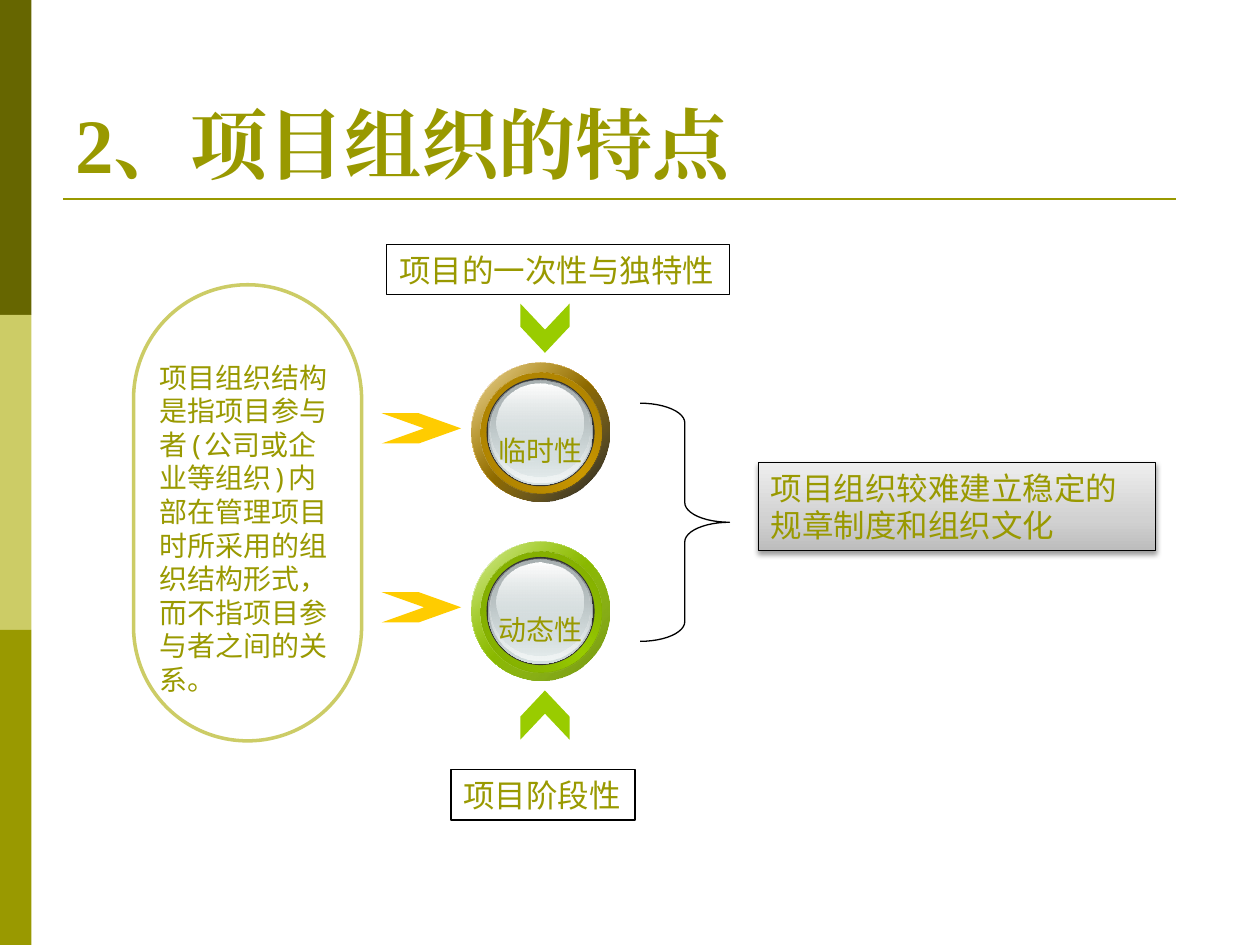
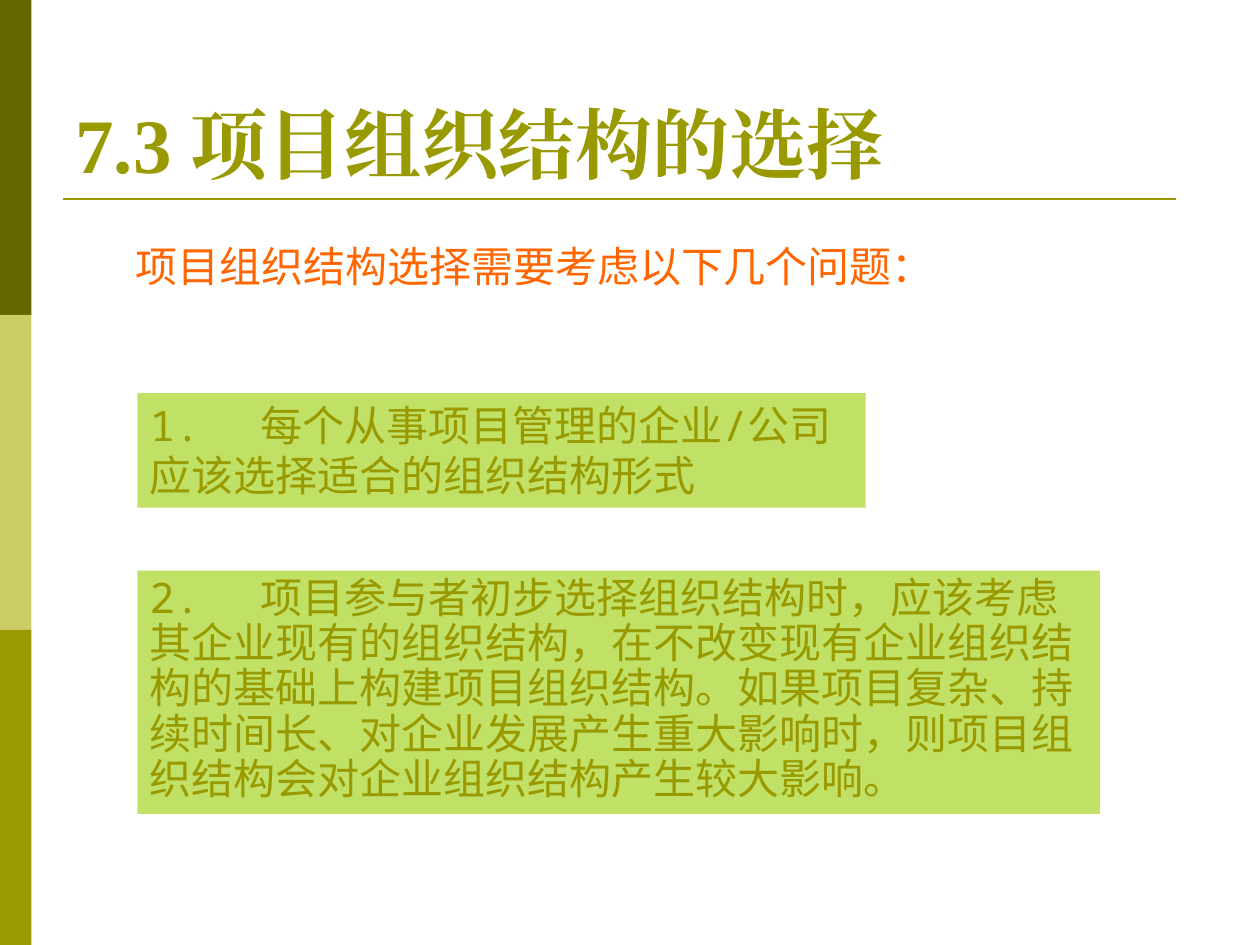
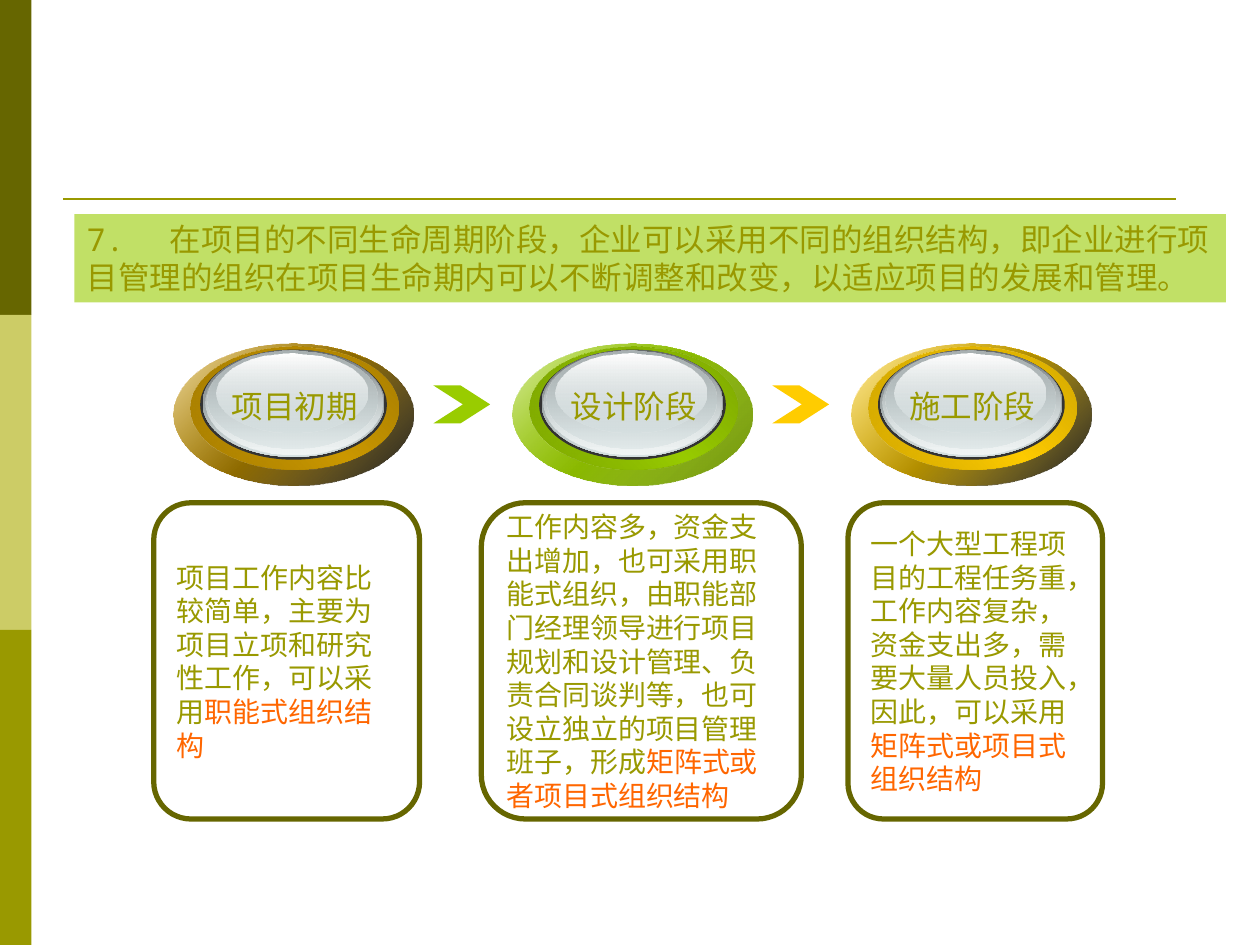
from dataclasses import dataclass
from pptx import Presentation
from pptx.dml.color import RGBColor as RGB
from pptx.enum.shapes import MSO_CONNECTOR as LINK, MSO_SHAPE as SHAPE
from pptx.enum.text import MSO_ANCHOR as ANCHOR
from pptx.oxml.ns import qn
from pptx.oxml.xmlchemy import OxmlElement as Node
from pptx.util import Inches, Pt


@dataclass(frozen=True)
class Theme:
    olive: str = "999900"
    dark: str = "666600"
    pale: str = "CCCC66"
    green: str = "99CC00"
    gold: str = "FFCC00"
    orange: str = "FF6600"
    white: str = "FFFFFF"
    black: str = "000000"
    head: str = "Times New Roman"
    mono: str = "Noto Sans Mono"
    sans: str = "DejaVu Sans"
    title: int = 44
    large: int = 24
    mid: int = 18
    small: int = 16


T = Theme()
TINT = (T.green, 60)
VEIL = (T.white, 72)

# Button shades: main, rim, ring, edge
AMBER = ("CC9900", "9C7500", "A77E00", (T.black, 90))
GREEN = (T.green, "759C00", "7EA700", "6D9200")
GOLD = (T.gold, "C39C00", "D1A700", (T.black, 90))

# Button layers as shares of its size: x, y when round, y when oval, w, h
OUTER = (0, 0, 0, 1, 1)
RIM = (0.07, 0.07, 0.02, 0.87, 0.87)
FACE = [
    ((0.11, 0.11, 0.04, 0.78, 0.78), "333333"),
    ((0.12, 0.12, 0.04, 0.76, 0.76), ["636869", "D6E1E2"]),
    ((0.13, 0.12, 0.04, 0.74, 0.74), [("D6E1E2", 0), "F1F5F5"]),
    ((0.14, 0.13, 0.05, 0.71, 0.69), ["AAB2B3", ("D6E1E2", 48)]),
    ((0.18, 0.15, 0.07, 0.63, 0.56), [T.white, ("D6E1E2", 38)]),
]

# Content
TRAITS = {
    "title": "2、项目组织的特点",
    "intro": "项目组织结构是指项目参与者(公司或企业等组织)内部在管理项目时所采用的"
             "组织结构形式，而不指项目参与者之间的关系。",
    "traits": [("临时性", AMBER), ("动态性", GREEN)],
    "causes": [("项目的一次性与独特性", (3.07, 1.94, 2.72, 0.4)),
               ("项目阶段性", (3.58, 6.11, 1.46, 0.4))],
    "result": "项目组织较难建立稳定的规章制度和组织文化",
}
CHOICE = {
    "title": "7.3 项目组织结构的选择",
    "lead": "项目组织结构选择需要考虑以下几个问题：",
    "first": "1.\t每个从事项目管理的企业/公司应该选择适合的组织结构形式",
    "second": "2.\t项目参与者初步选择组织结构时，应该考虑其企业现有的组织结构，"
              "在不改变现有企业组织结构的基础上构建项目组织结构。如果项目复杂、"
              "持续时间长、对企业发展产生重大影响时，则项目组织结构会对企业组织结构"
              "产生较大影响。",
}
CYCLE = "7.\t在项目的不同生命周期阶段，企业可以采用不同的组织结构，即企业进行项目" \
        "管理的组织在项目生命期内可以不断调整和改变，以适应项目的发展和管理。"
# Stage name, shades, card left, card width, text, stressed text
STAGES = [
    ("项目初期", AMBER, 1.22, 2.11,
     "项目工作内容比较简单，主要为项目立项和研究性工作，可以采用", "职能式组织结构"),
    ("设计阶段", GREEN, 3.82, 2.54,
     "工作内容多，资金支出增加，也可采用职能式组织，由职能部门经理领导进行项目"
     "规划和设计管理、负责合同谈判等，也可设立独立的项目管理班子，形成",
     "矩阵式或者项目式组织结构"),
    ("施工阶段", GOLD, 6.73, 2.02,
     "一个大型工程项目的工程任务重，工作内容复杂，资金支出多，需要大量人员投入，"
     "因此，可以采用", "矩阵式或项目式组织结构"),
]


def tone(color):
    """Colour node from a hex string or a (hex, opacity) pair."""
    code, alpha = (color, 100) if isinstance(color, str) else color
    node = Node("a:srgbClr")
    node.set("val", code)
    if alpha < 100:
        sub = Node("a:alpha")
        sub.set("val", str(alpha * 1000))
        node.append(sub)
    return node


def paint(shape, fill, angle=90, marks=None):
    if fill is None:
        shape.fill.background()
    elif isinstance(fill, list):
        shape.fill.gradient()
        grad = shape.element.spPr.find(qn("a:gradFill"))
        stops = grad.find(qn("a:gsLst"))
        for old in list(stops):
            stops.remove(old)
        for i, color in enumerate(fill):
            stop = Node("a:gs")
            at = marks[i] if marks else 100 * i // (len(fill) - 1)
            stop.set("pos", str(at * 1000))
            stop.append(tone(color))
            stops.append(stop)
        grad.find(qn("a:lin")).set("ang", str(angle * 60000))
    else:
        shape.fill.solid()
        shape.fill.fore_color.rgb = RGB.from_string(T.white)
        solid = shape.element.spPr.find(qn("a:solidFill"))
        solid.remove(solid[0])
        solid.append(tone(fill))


def draw(slide, kind, box, fill=None, line=None, adj=(), turn=0, angle=90, marks=None):
    shape = slide.shapes.add_shape(kind, *map(Inches, box))
    shape.shadow.inherit = False
    for i, value in enumerate(adj):
        shape.adjustments[i] = value
    shape.rotation = turn
    paint(shape, fill, angle, marks)
    if line:
        shape.line.color.rgb = RGB.from_string(line[0])
        shape.line.width = Pt(line[1])
    else:
        shape.line.fill.background()
    return shape


def write(shape, runs, size, font=T.mono, wrap=True, anchor=ANCHOR.TOP, bold=False, tab=None):
    """Fill a shape with one left-aligned paragraph of (text, colour) runs."""
    frame = shape.text_frame
    frame.word_wrap = wrap
    frame.vertical_anchor = anchor
    para = frame.paragraphs[0]
    para.alignment = 1
    if tab:
        tabs, stop = Node("a:tabLst"), Node("a:tab")
        stop.set("pos", str(Inches(tab)))
        stop.set("algn", "l")
        tabs.append(stop)
        para._p.get_or_add_pPr().append(tabs)
    for text, color in runs:
        run = para.add_run()
        run.text = text
        run.font.size = Pt(size)
        run.font.name = font
        run.font.bold = bold
        run.font.color.rgb = RGB.from_string(color)
        east = Node("a:ea")
        east.set("typeface", font)
        run.font._element.append(east)
    return para


def label(slide, box, text, size, color=T.olive, **style):
    write(slide.shapes.add_textbox(*map(Inches, box)), [(text, color)], size, **style)


def button(slide, box, shades):
    x, y, w, h = box
    main, rim, ring, edge = shades
    layers = [
        (OUTER, [T.white, main, T.white], 45),
        (OUTER, [(main, 32), edge], 45),
        (RIM, [rim, main, rim], 315),
        (RIM, [ring, (main, 0)], 45),
    ] + [(part, fill, 90) for part, fill in FACE]
    for (px, round_y, oval_y, pw, ph), fill, angle in layers:
        py = round_y if w == h else oval_y
        draw(slide, SHAPE.OVAL, (x + px * w, y + py * h, pw * w, ph * h), fill, angle=angle)


def start(deck, title=None):
    """New slide with side bands, rule and title."""
    slide = deck.slides.add_slide(deck.slide_layouts[6])
    for i, color in enumerate((T.dark, T.pale, T.olive)):
        draw(slide, SHAPE.RECTANGLE, (0, 2.5 * i, 0.25, 2.5), color)
    rule = slide.shapes.add_connector(LINK.STRAIGHT, *map(Inches, (0.5, 1.58, 9.33, 1.58)))
    rule.line.color.rgb = RGB.from_string(T.olive)
    rule.line.width = Pt(1.5)
    rule._element.spPr.append(Node("a:effectLst"))
    if title:
        label(slide, (0.5, 0.3, 9, 1.25), title, T.title, font=T.head,
              anchor=ANCHOR.BOTTOM, bold=True)
    return slide


def shade(shape):
    """Soft shadow below a shape."""
    cast = Node("a:outerShdw")
    for key, value in (("blurRad", Pt(3.1)), ("dist", Pt(1.6)), ("dir", 90 * 60000)):
        cast.set(key, str(int(value)))
    cast.set("rotWithShape", "0")
    cast.append(tone((T.black, 38)))
    shape.element.spPr.find(qn("a:effectLst")).append(cast)


def traits(deck):
    slide = start(deck, TRAITS["title"])
    # Definition
    draw(slide, SHAPE.ROUNDED_RECTANGLE, (1.06, 2.26, 1.81, 3.62), T.white, (T.pale, 2), [0.5])
    label(slide, (1.17, 2.81, 1.65, 2.51), TRAITS["intro"], T.small)
    # Traits with their arrows
    for i, (name, shades) in enumerate(TRAITS["traits"]):
        y = 2.88 + 1.42 * i
        draw(slide, SHAPE.CHEVRON, (3.03, y + 0.4, 0.63, 0.24), T.gold, adj=[1.4])
        button(slide, (3.74, y, 1.1, 1.1), shades)
        label(slide, (3.86, y + 0.51, 0.87, 0.37), name, T.small, font=T.sans, wrap=False)
    # Causes above and below
    for (text, box), y, turn in zip(TRAITS["causes"], (2.41, 5.48), (90, 270)):
        draw(slide, SHAPE.CHEVRON, (4.13, y, 0.39, 0.39), T.green, adj=[0.53], turn=turn)
        note = draw(slide, SHAPE.RECTANGLE, box, VEIL, (T.black, 0))
        write(note, [(text, T.olive)], T.mid, wrap=False)
    # Result
    draw(slide, SHAPE.RIGHT_BRACE, (5.08, 3.2, 0.71, 1.89), None, (T.black, 0), [0.22, 0.5])
    result = draw(slide, SHAPE.RECTANGLE, (6.02, 3.67, 3.15, 0.7),
                  ["BDBDBD", "D1D1D1", "EEEEEE"], (T.black, 0.75), angle=270, marks=(0, 35, 100))
    shade(result)
    write(result, [(TRAITS["result"], T.olive)], T.mid, font=T.sans)


def choice(deck):
    slide = start(deck, CHOICE["title"])
    label(slide, (0.98, 1.86, 6.57, 0.5), CHOICE["lead"], T.large, T.orange, wrap=False)
    first = draw(slide, SHAPE.RECTANGLE, (1.09, 3.12, 5.78, 0.91), TINT)
    write(first, [(CHOICE["first"], T.olive)], T.large, tab=0.88)
    second = draw(slide, SHAPE.RECTANGLE, (1.09, 4.53, 7.64, 1.93), TINT)
    para = write(second, [(CHOICE["second"], T.olive)], T.large, tab=0.88)
    para.line_spacing = 0.9


def cycle(deck):
    slide = start(deck)
    banner = draw(slide, SHAPE.RECTANGLE, (0.59, 1.7, 9.14, 0.7), TINT)
    write(banner, [(CYCLE, T.olive)], T.mid, tab=0.66)
    # Stages with their cards
    for i, (name, shades, left, width, text, stress) in enumerate(STAGES):
        x = 1.38 + 2.69 * i
        card = draw(slide, SHAPE.ROUNDED_RECTANGLE, (left, 3.99, width, 2.51),
                    None, (T.dark, 3), [0.14])
        write(card, [(text, T.olive), (stress, T.orange)], T.small, anchor=ANCHOR.MIDDLE)
        button(slide, (x, 2.73, 1.9, 1.12), shades)
        label(slide, (x + 0.36, 3.02, 1.2, 0.4), name, T.mid, wrap=False)
    # Arrows between stages
    for i, color in enumerate((T.green, T.gold)):
        draw(slide, SHAPE.CHEVRON, (3.44 + 2.69 * i, 3.06, 0.45, 0.3), color, adj=[0.78])


def main():
    deck = Presentation()
    deck.slide_width, deck.slide_height = Inches(10), Inches(7.5)
    for build in (traits, choice, cycle):
        build(deck)
    deck.save("out.pptx")


if __name__ == "__main__":
    main()
